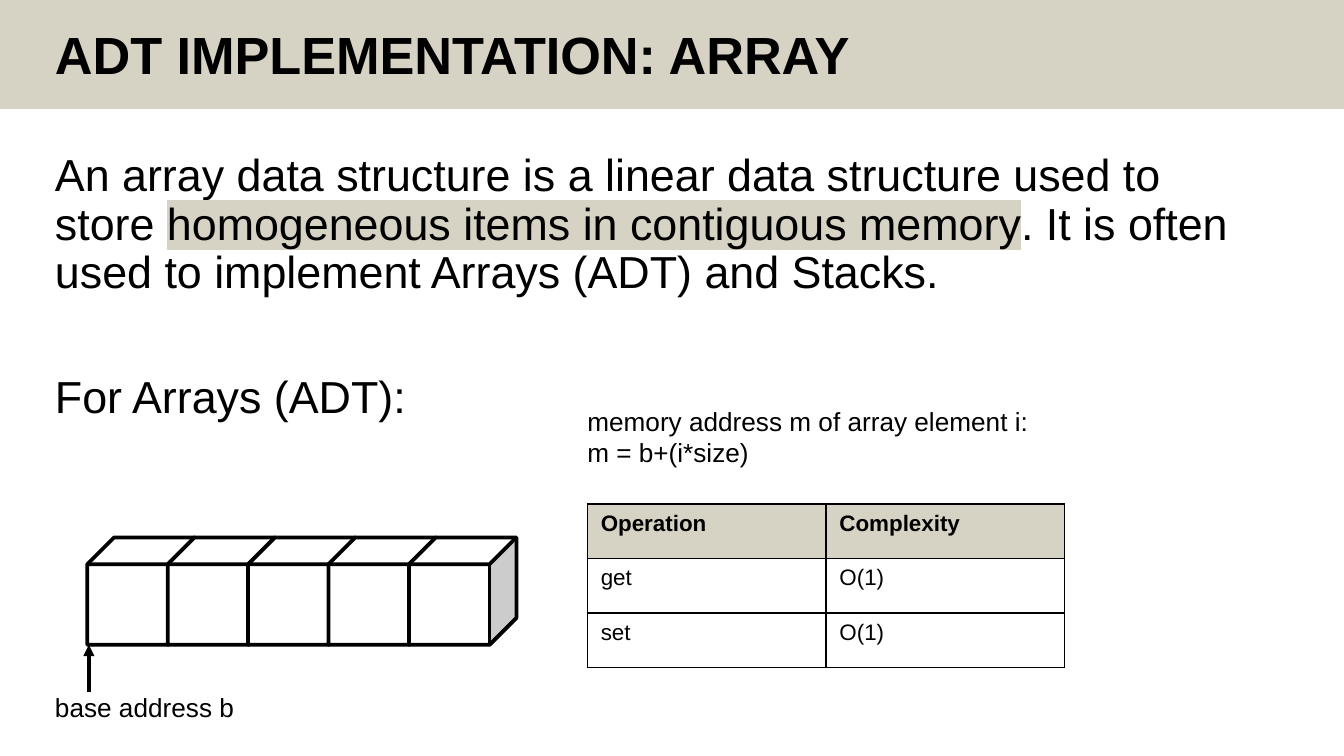
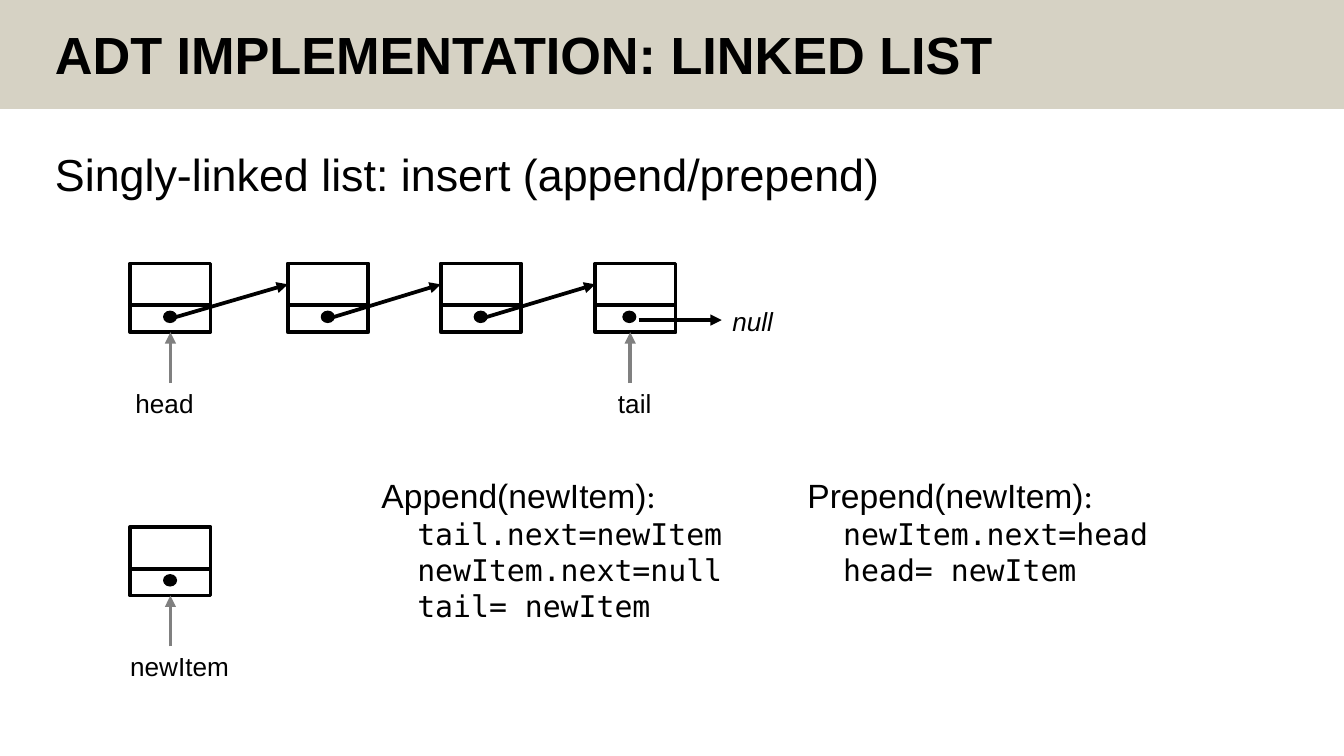
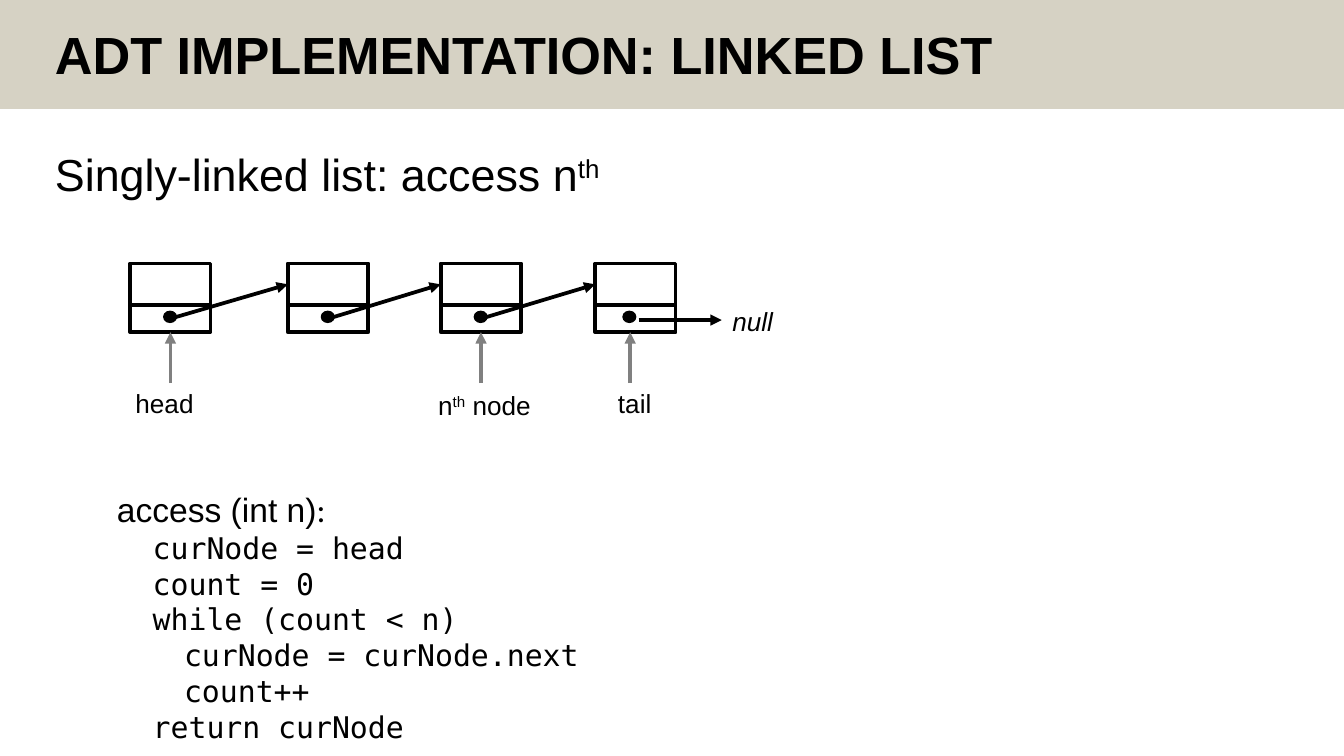
from lxml.etree import SubElement
from pptx import Presentation
from pptx.dml.color import RGBColor
from pptx.enum.shapes import MSO_CONNECTOR, MSO_SHAPE
from pptx.enum.text import MSO_ANCHOR, MSO_AUTO_SIZE
from pptx.oxml import parse_xml
from pptx.oxml.ns import nsdecls, qn
from pptx.util import Cm, Pt

HUES = {"band": "D6D2C4", "ink": "000000", "paper": "FFFFFF", "mark": "808080"}
SANS, MONO = "Arial", "DejaVu Sans Mono"
CELL_W, DATA_H, LINK_H = 1.52, 0.79, 0.51
LIST_X, LIST_Y = (2.46, 5.44, 8.33, 11.25), 4.98


def hue(name):
    """Return a named colour."""
    return RGBColor.from_string(HUES[name])


def add_run(para, text, size, face=SANS, bold=False, slant=False):
    """Append a formatted run to a paragraph."""
    run = para.add_run()
    run.text = text
    font = run.font
    font.size, font.name, font.bold, font.italic = Pt(size), face, bold, slant
    font.color.rgb = hue("ink")
    return run


def raise_up(run):
    """Set a run as superscript."""
    run._r.get_or_add_rPr().set("baseline", "30000")


def shade(run):
    """Highlight a run in the band colour."""
    fill = run._r.get_or_add_rPr().find(qn("a:solidFill"))
    fill.addnext(parse_xml(
        f'<a:highlight {nsdecls("a")}><a:srgbClr val="{HUES["band"]}"/></a:highlight>'))


def add_box(slide, left, top, width, height, wrap=True, grow=True):
    """Add an empty text box and return its frame."""
    frame = slide.shapes.add_textbox(Cm(left), Cm(top), Cm(width), Cm(height)).text_frame
    frame.word_wrap = wrap
    frame.auto_size = MSO_AUTO_SIZE.SHAPE_TO_FIT_TEXT if grow else MSO_AUTO_SIZE.NONE
    return frame


def add_label(slide, text, left, top, width, height=0.86, slant=False):
    """Add a small label on one line or more and return its frame."""
    frame = add_box(slide, left, top, width, height, wrap=False)
    for i, line in enumerate(text.split("\n")):
        para = frame.add_paragraph() if i else frame.paragraphs[0]
        add_run(para, line, 14, slant=slant)
    return frame


def add_shape(slide, kind, left, top, width, height, fill=None, line="ink", weight=2):
    """Add a preset shape with plain fill and line."""
    shape = slide.shapes.add_shape(kind, Cm(left), Cm(top), Cm(width), Cm(height))
    shape.shadow.inherit = False
    if fill:
        shape.fill.solid()
        shape.fill.fore_color.rgb = hue(fill)
    else:
        shape.fill.background()
    if line:
        shape.line.color.rgb = hue(line)
        shape.line.width = Pt(weight)
    else:
        shape.line.fill.background()
    return shape


def add_arrow(slide, x1, y1, x2, y2, color="ink"):
    """Add a straight arrow."""
    arrow = slide.shapes.add_connector(MSO_CONNECTOR.STRAIGHT, Cm(x1), Cm(y1), Cm(x2), Cm(y2))
    arrow.line.color.rgb = hue(color)
    arrow.line.width = Pt(2)
    SubElement(arrow.line._get_or_add_ln(), qn("a:tailEnd"), type="triangle")
    SubElement(arrow._element.spPr, qn("a:effectLst"))
    return arrow


def add_base(deck, title):
    """Add a slide with its band and title."""
    slide = deck.slides.add_slide(deck.slide_layouts[6])
    add_shape(slide, MSO_SHAPE.RECTANGLE, 0, 0, 25.4, 2.06, "band", None)
    frame = add_box(slide, 0.79, 0.41, 19.56, 1.35, grow=False)
    frame.vertical_anchor = MSO_ANCHOR.MIDDLE
    para = frame.paragraphs[0]
    para.line_spacing = 0.9
    add_run(para, title, 28, bold=True)
    return slide


def add_body(slide, text):
    """Add the body text and return its frame."""
    frame = add_box(slide, 0.79, 2.77, 23.22, 10.41, grow=False)
    para = frame.paragraphs[0]
    para.line_spacing = 0.9
    add_run(para, text, 24)
    return frame


def add_code(slide, name, lines, left, top, width, height):
    """Add a routine with its heading and code lines."""
    frame = add_box(slide, left, top, width, height)
    head = frame.paragraphs[0]
    add_run(head, name, 18)
    add_run(head, ":", 18, "Calibri")
    for line in lines:
        add_run(frame.add_paragraph(), line, 16, MONO)


def add_node(slide, left, top, inset=0.64):
    """Add a list node and return its data and link cells."""
    data = add_shape(slide, MSO_SHAPE.RECTANGLE, left, top, CELL_W, DATA_H)
    link = add_shape(slide, MSO_SHAPE.RECTANGLE, left, top + DATA_H, CELL_W, LINK_H)
    add_shape(slide, MSO_SHAPE.OVAL, left + inset, top + 0.91, 0.23, 0.2, "ink", weight=1)
    return data, link


def add_mark(slide, x, top, link=None):
    """Add a grey pointer from below to a node."""
    arrow = add_arrow(slide, x, top + 2.26, x, top + DATA_H + LINK_H, "mark")
    if link:
        arrow.end_connect(link, 2)


def add_list(slide):
    """Add the linked list and return its link cells."""
    add_label(slide, "null", 13.59, 5.64, 1.3, 0.79, slant=True)
    nodes = [add_node(slide, x, LIST_Y, 0.53 if x == LIST_X[-1] else 0.64) for x in LIST_X]
    for x, goal, (data, _) in zip(LIST_X, LIST_X[1:], nodes[1:]):
        arrow = add_arrow(slide, x + 0.84, LIST_Y + 1.02, goal, LIST_Y + DATA_H / 2)
        arrow.end_connect(data, 1)
    add_arrow(slide, 12.07, 6.05, 13.64, 6.05)
    links = [link for _, link in nodes]
    add_mark(slide, LIST_X[0] + CELL_W / 2, LIST_Y, links[0])
    add_mark(slide, 11.91, LIST_Y)
    add_label(slide, "head", 2.31, LIST_Y + 2.21, 1.63)
    add_label(slide, "tail", 11.43, LIST_Y + 2.21, 1.14)
    return links


def add_edges(cell):
    """Draw thin black borders around a table cell."""
    props = cell._tc.get_or_add_tcPr()
    for i, side in enumerate(("lnL", "lnR", "lnT", "lnB")):
        props.insert(i, parse_xml(
            f'<a:{side} {nsdecls("a")} w="12700"><a:solidFill>'
            f'<a:srgbClr val="{HUES["ink"]}"/></a:solidFill></a:{side}>'))


def add_grid(slide, rows, left, top, width, height):
    """Add a table whose first row is the heading."""
    table = slide.shapes.add_table(
        len(rows), len(rows[0]), Cm(left), Cm(top), Cm(width), Cm(height)).table
    table.horz_banding = False
    for i, row in enumerate(rows):
        for j, text in enumerate(row):
            cell = table.cell(i, j)
            add_run(cell.text_frame.paragraphs[0], text, 12, bold=i == 0)
            if i:
                cell.fill.background()
            else:
                cell.fill.solid()
                cell.fill.fore_color.rgb = hue("band")
            add_edges(cell)


def show_array(deck):
    """Build the array slide."""
    slide = add_base(deck, "ADT IMPLEMENTATION: ARRAY")
    frame = add_body(slide, "An array data structure is a linear data structure used to store ")
    para = frame.paragraphs[0]
    shade(add_run(para, "homogeneous items in contiguous memory", 24))
    add_run(para, ". It is often used to implement Arrays (ADT) and Stacks.", 24)
    para = frame.add_paragraph()
    para.line_spacing, para.space_before = 0.9, Pt(41)
    add_run(para, "For Arrays (ADT):", 24)
    for i in range(5):
        add_shape(slide, MSO_SHAPE.CUBE, 1.65 + i * CELL_W, 10.16, 2.03, 2.03, "paper")
    add_label(slide, "base address b", 0.79, 12.95, 3.91)
    add_arrow(slide, 1.68, 13.08, 1.68, 12.19)
    add_label(slide, "memory address m of array element i:\nm = b+(i*size)",
              10.85, 7.54, 9.02, 1.45)
    rows = [("Operation", "Complexity"), ("get", "O(1)"), ("set", "O(1)")]
    add_grid(slide, rows, 11.1, 9.53, 9.02, 3.09)


def show_insert(deck):
    """Build the slide on inserting items."""
    slide = add_base(deck, "ADT IMPLEMENTATION: LINKED LIST")
    add_body(slide, "Singly-linked list: insert (append/prepend)")
    add_list(slide)
    left, top = LIST_X[0], 9.96
    _, link = add_node(slide, left, top)
    add_mark(slide, left + CELL_W / 2, top, link)
    add_label(slide, "newItem", 2.21, top + 2.21, 2.39)
    add_code(slide, "Append(newItem)",
             ["  tail.next=newItem", "  newItem.next=null", "  tail= newItem"],
             6.96, 8.86, 7.9, 3.84)
    add_code(slide, "Prepend(newItem)", ["  newItem.next=head", "  head= newItem"],
             15.01, 8.86, 7.9, 3.18)


def show_access(deck):
    """Build the slide on reaching the nth node."""
    slide = add_base(deck, "ADT IMPLEMENTATION: LINKED LIST")
    frame = add_body(slide, "Singly-linked list: access n")
    raise_up(add_run(frame.paragraphs[0], "th", 24))
    links = add_list(slide)
    add_mark(slide, LIST_X[2] + CELL_W / 2, LIST_Y, links[2])
    para = add_label(slide, "n", 8.03, LIST_Y + 2.26, 2.31).paragraphs[0]
    raise_up(add_run(para, "th", 14))
    add_run(para, " node", 14)
    lines = ["  curNode = head", "  count = 0", "  while (count < n)",
             "\tcurNode = curNode.next", "\tcount++", "  return curNode"]
    add_code(slide, "access (int n)", lines, 1.96, 9.12, 19.91, 5.13)


def main():
    """Build and save the deck."""
    deck = Presentation()
    deck.slide_width, deck.slide_height = Cm(25.4), Cm(14.29)
    show_array(deck)
    show_insert(deck)
    show_access(deck)
    deck.save("out.pptx")


if __name__ == "__main__":
    main()
